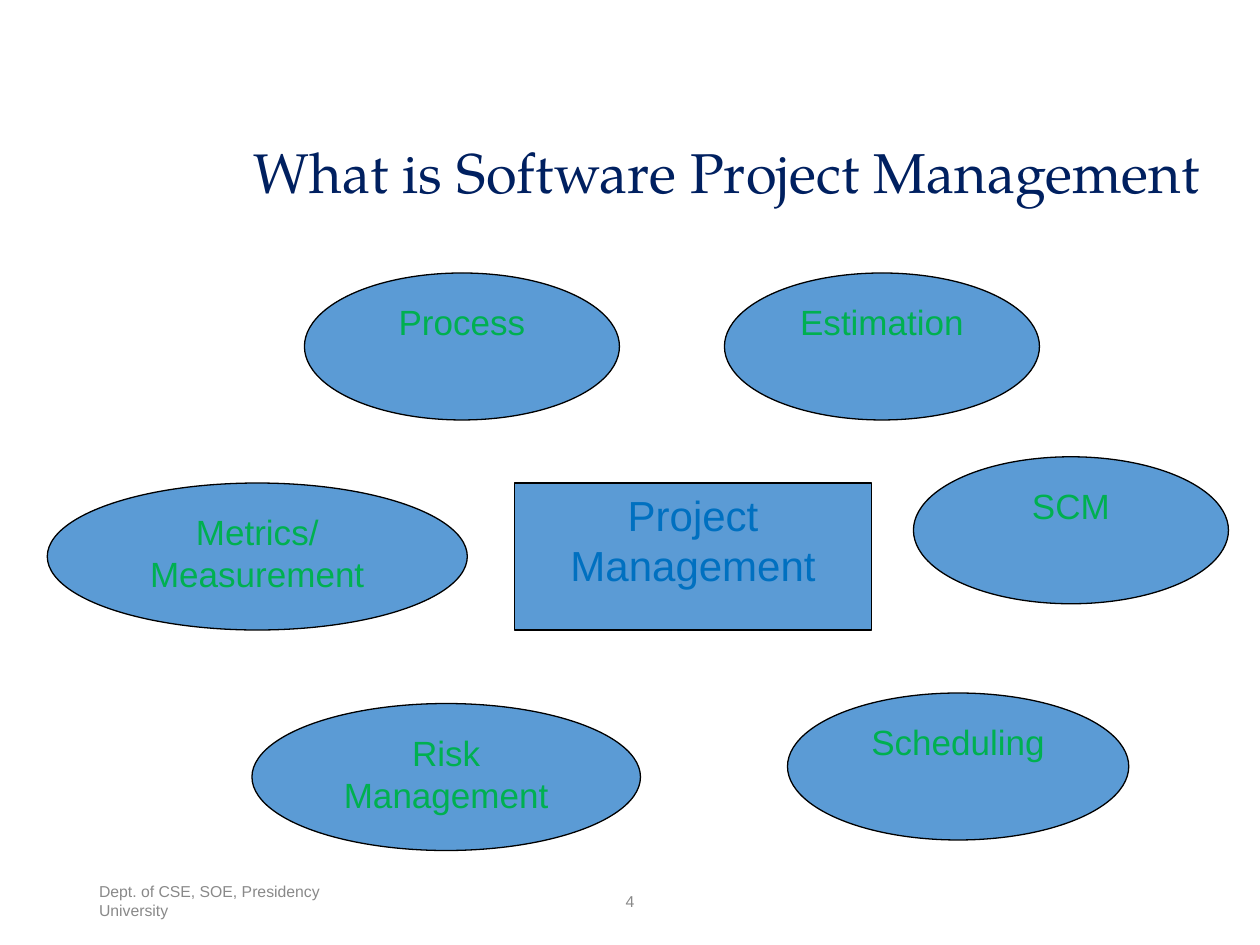
import pptx
import pptx.util
import pptx.dml.color
import pptx.enum.shapes
import pptx.enum.text

RGBColor = pptx.dml.color.RGBColor
Shape = pptx.enum.shapes.MSO_SHAPE
Align = pptx.enum.text.PP_ALIGN
Anchor = pptx.enum.text.MSO_ANCHOR

NAVY = RGBColor(0x00, 0x20, 0x60)
GRAY = RGBColor(0x89, 0x89, 0x89)
SKY = RGBColor(0x5B, 0x9B, 0xD5)
BLUE = RGBColor(0x00, 0x70, 0xC0)
GREEN = RGBColor(0x00, 0xB0, 0x50)
BLACK = RGBColor(0x00, 0x00, 0x00)

HEADING = "What is Software Project Management"
HEADING_AREA = (4.5, 2.7, 18.7, 1.44)
CENTER = "Project Management"
CENTER_AREA = (9.8, 9.2, 6.8)
ACTIVITIES = [
    ("Process", (5.8, 5.2, 6)),
    ("Estimation", (13.8, 5.2, 6)),
    ("Scheduling", (15, 13.2, 6.5)),
    ("Risk Management", (4.8, 13.4, 7.4)),
    ("Metrics/ Measurement", (0.9, 9.2, 8)),
    ("SCM", (17.4, 8.7, 6)),
]
FOOTER = [
    ("Dept. of CSE, SOE, Presidency University", 1.65, 5.4, Align.LEFT),
    ("4", 7.95, 8.1, Align.CENTER),
]
FOOTER_TOP, FOOTER_HEIGHT = 16.68, 0.96
NODE_HEIGHT = 2.8
COLUMNS = 24

deck = pptx.Presentation()
deck.slide_width = pptx.util.Inches(10)
deck.slide_height = pptx.util.Inches(7.5)
slide = deck.slides.add_slide(deck.slide_layouts[5])


def on_grid(*cells):
    return [round(cell * deck.slide_width / COLUMNS) for cell in cells]


def write(holder, text, size, color, font="Arial", align=Align.CENTER,
          anchor=Anchor.TOP, inset=(0.1, 0.05), spacing=1.0):
    frame = holder.text_frame
    frame.word_wrap = True
    frame.auto_size = pptx.enum.text.MSO_AUTO_SIZE.NONE
    frame.vertical_anchor = anchor
    frame.margin_left = frame.margin_right = pptx.util.Inches(inset[0])
    frame.margin_top = frame.margin_bottom = pptx.util.Inches(inset[1])
    frame.text = text
    paragraph = frame.paragraphs[0]
    paragraph.alignment = align
    paragraph.line_spacing = spacing
    run_font = paragraph.runs[0].font
    run_font.name = font
    run_font.size = pptx.util.Pt(size)
    run_font.color.rgb = color


def add_node(outline, area, text, size, color):
    node = slide.shapes.add_shape(outline, *on_grid(*area, NODE_HEIGHT))
    node.shadow.inherit = False
    node.fill.solid()
    node.fill.fore_color.rgb = SKY
    node.line.color.rgb = BLACK
    node.line.width = pptx.util.Pt(0.75)
    write(node, text, size, color)


heading = slide.shapes.title
heading.left, heading.top, heading.width, heading.height = on_grid(*HEADING_AREA)
write(heading, HEADING, 32, NAVY, font="TeX Gyre Pagella",
      inset=(0.07, 0.03), spacing=0.9)

for text, left, width, align in FOOTER:
    note = slide.shapes.add_textbox(*on_grid(left, FOOTER_TOP, width, FOOTER_HEIGHT))
    write(note, text, 9, GRAY, align=align, anchor=Anchor.MIDDLE)

add_node(Shape.RECTANGLE, CENTER_AREA, CENTER, 24, BLUE)
for activity, area in ACTIVITIES:
    add_node(Shape.OVAL, area, activity, 20, GREEN)

deck.save("out.pptx")
